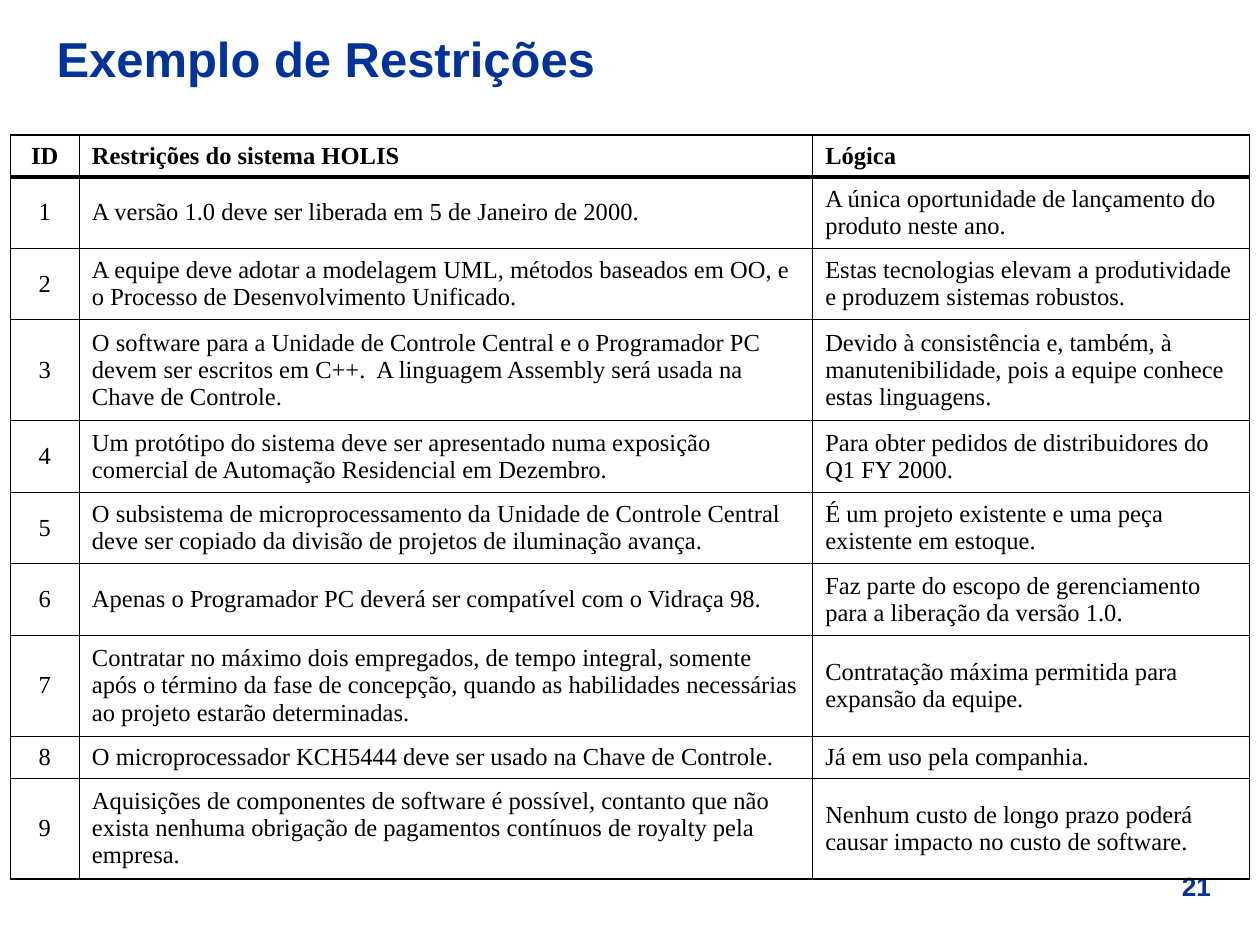
import pptx
import pptx.util
import pptx.dml.color
import pptx.enum.text
import pptx.oxml.ns
from lxml import etree

Inches, Pt = pptx.util.Inches, pptx.util.Pt
RGBColor = pptx.dml.color.RGBColor
ALIGN, ANCHOR = pptx.enum.text.PP_ALIGN, pptx.enum.text.MSO_ANCHOR
qn = pptx.oxml.ns.qn

NAVY = RGBColor(0x00, 0x33, 0x99)
BLACK = RGBColor(0, 0, 0)
WHITE = RGBColor(0xFF, 0xFF, 0xFF)

# Content
TITLE = "Exemplo de Restrições"
PAGE_NUMBER = "21"
HEADER = ("ID", "Restrições do sistema HOLIS", "Lógica")
# Lines of text in the row, restriction, rationale
RESTRICTIONS = [
    (2, "A versão 1.0 deve ser liberada em 5 de Janeiro de 2000.",
     "A única oportunidade de lançamento do produto neste ano."),
    (2, "A equipe deve adotar a modelagem UML, métodos baseados em OO, e o Processo de "
        "Desenvolvimento Unificado.",
     "Estas tecnologias elevam a produtividade e produzem sistemas robustos."),
    (3, "O software para a Unidade de Controle Central e o Programador PC devem ser escritos "
        "em C++.  A linguagem Assembly será usada na Chave de Controle.",
     "Devido à consistência e, também, à manutenibilidade, pois a equipe conhece estas "
     "linguagens."),
    (2, "Um protótipo do sistema deve ser apresentado numa exposição comercial de Automação "
        "Residencial em Dezembro.",
     "Para obter pedidos de distribuidores do Q1 FY 2000."),
    (2, "O subsistema de microprocessamento da Unidade de Controle Central deve ser copiado "
        "da divisão de projetos de iluminação avança.",
     "É um projeto existente e uma peça existente em estoque."),
    (2, "Apenas o Programador PC deverá ser compatível com o Vidraça 98.",
     "Faz parte do escopo de gerenciamento para a liberação da versão 1.0."),
    (3, "Contratar no máximo dois empregados, de tempo integral, somente após o término da "
        "fase de concepção, quando as habilidades necessárias ao projeto estarão determinadas.",
     "Contratação máxima permitida para expansão da equipe."),
    (1, "O microprocessador KCH5444 deve ser usado na Chave de Controle.",
     "Já em uso pela companhia."),
    (3, "Aquisições de componentes de software é possível, contanto que não exista nenhuma "
        "obrigação de pagamentos contínuos de royalty pela empresa.",
     "Nenhum custo de longo prazo poderá causar impacto no custo de software."),
]

# Table grid, in inches; the rows end above the page number
TABLE_LEFT, TABLE_TOP = 0.08, 1.07
COLUMNS = (0.55, 5.82, 3.47)
ONE_LINE_ROW, EXTRA_LINE = 0.33, 0.23
# Rule weights, in points
THIN, EDGE, HEAVY = 0.75, 1, 3


def write(frame, text, font, size, color, bold, align=ALIGN.LEFT):
    frame.word_wrap = True
    para = frame.paragraphs[0]
    para.alignment = align
    span = para.add_run()
    span.text = text
    span.font.name, span.font.size, span.font.bold = font, Pt(size), bold
    span.font.color.rgb = color


def add_label(page, area, text, size, align):
    box = page.shapes.add_textbox(*(Inches(value) for value in area))
    box.text_frame.vertical_anchor = ANCHOR.MIDDLE
    write(box.text_frame, text, "Arial", size, NAVY, True, align)


def set_borders(cell, top, bottom):
    properties = cell._tc.get_or_add_tcPr()
    sides = (("lnL", THIN), ("lnR", THIN), ("lnT", top), ("lnB", bottom))
    for position, (side, weight) in enumerate(sides):
        line = etree.Element(qn("a:" + side), w=str(Pt(weight)))
        fill = etree.SubElement(line, qn("a:solidFill"))
        etree.SubElement(fill, qn("a:srgbClr"), val=str(BLACK))
        properties.insert(position, line)


def add_restrictions(page):
    rows = [(1, *HEADER)]
    rows += [(lines, str(number), restriction, reason)
             for number, (lines, restriction, reason) in enumerate(RESTRICTIONS, 1)]
    heights = [ONE_LINE_ROW + EXTRA_LINE * (row[0] - 1) for row in rows]
    table = page.shapes.add_table(
        len(rows), len(COLUMNS), Inches(TABLE_LEFT), Inches(TABLE_TOP),
        Inches(sum(COLUMNS)), Inches(sum(heights))).table
    table.first_row = table.horz_banding = False
    for column, width in zip(table.columns, COLUMNS):
        column.width = Inches(width)

    # Horizontal rules: one above each row, and one below the last
    rules = [EDGE, HEAVY] + [THIN] * (len(rows) - 2) + [EDGE]
    for r, (_, *texts) in enumerate(rows):
        table.rows[r].height = Inches(heights[r])
        for c, text in enumerate(texts):
            cell = table.cell(r, c)
            cell.vertical_anchor = ANCHOR.MIDDLE
            if r == 0:
                cell.fill.solid()
                cell.fill.fore_color.rgb = WHITE
            else:
                cell.fill.background()
            set_borders(cell, rules[r], rules[r + 1])
            write(cell.text_frame, text, "Times New Roman", 14, BLACK, r == 0,
                  ALIGN.CENTER if c == 0 else ALIGN.LEFT)


def main():
    deck = pptx.Presentation()
    deck.slide_width, deck.slide_height = Inches(10), Inches(7.5)
    page = deck.slides.add_slide(deck.slide_layouts[6])
    # Page number, title, table
    add_label(page, (9.1, 6.86, 0.79, 0.35), PAGE_NUMBER, 15, ALIGN.CENTER)
    add_label(page, (0.35, 0.16, 9.32, 0.6), TITLE, 28, ALIGN.LEFT)
    add_restrictions(page)
    deck.save("out.pptx")


if __name__ == "__main__":
    main()
